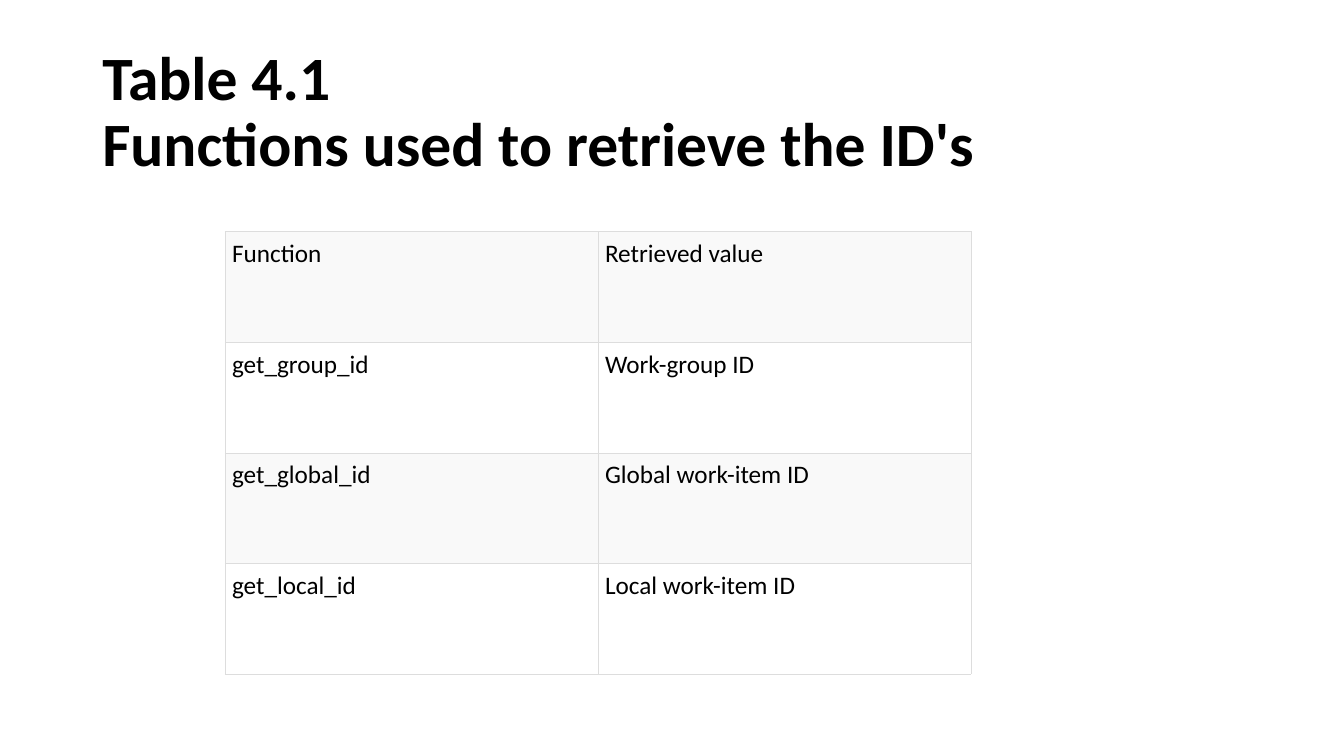
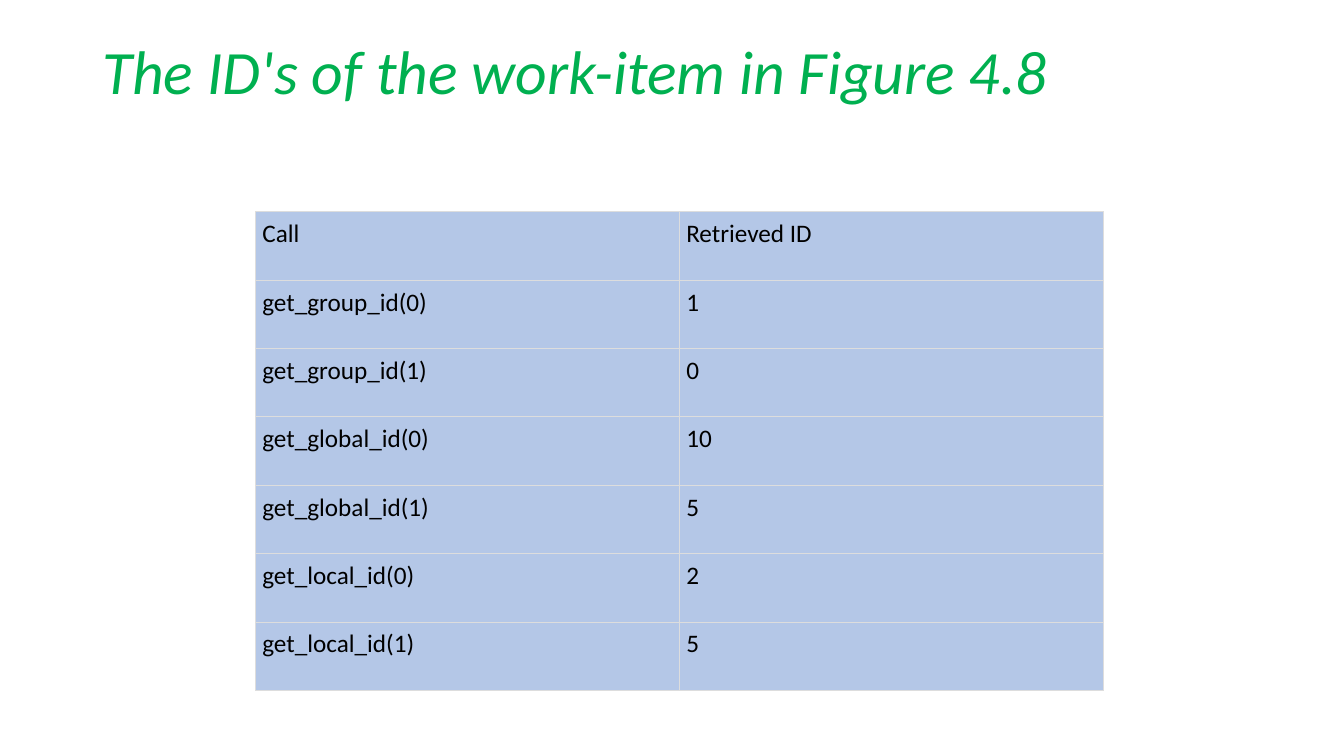
from dataclasses import dataclass

import pptx
import pptx.dml.color
import pptx.enum.text
import pptx.oxml
import pptx.oxml.ns
import pptx.slide
import pptx.table
import pptx.util

Pt = pptx.util.Pt
RGBColor = pptx.dml.color.RGBColor
Anchor = pptx.enum.text.MSO_ANCHOR

# Shared style
BLACK = RGBColor(0x00, 0x00, 0x00)
WHITE = RGBColor(0xFF, 0xFF, 0xFF)
GREEN = RGBColor(0x00, 0xB0, 0x50)
PALE_GREY = RGBColor(0xF9, 0xF9, 0xF9)
BORDER_GREY = RGBColor(0xDD, 0xDD, 0xDD)
PALE_BLUE = RGBColor(0xB4, 0xC7, 0xE7)
FONT_NAME = "Calibri"
TITLE_FONT = {"name": FONT_NAME, "size": Pt(44)}
CELL_FONT = {"name": FONT_NAME, "size": Pt(18)}
TITLE_BOX = (Pt(66), Pt(28.8), Pt(828), Pt(104.4))
CELL_MARGIN = Pt(5)
CELL_FRAME = {f"margin_{side}": CELL_MARGIN for side in ("left", "top", "right", "bottom")}
BORDER_WIDTH = Pt(0.6)


@dataclass(frozen=True)
class Title:
    text: str
    color: RGBColor
    anchor: Anchor
    top_margin: float
    bold: bool = False
    italic: bool = False


@dataclass(frozen=True)
class Grid:
    left: float
    top: float
    column_width: float
    row_height: float
    row_fills: tuple[RGBColor, ...]
    rows: tuple[tuple[str, str], ...]


SLIDES = (
    (
        Title("Table 4.1\vFunctions used to retrieve the ID's", BLACK, Anchor.MIDDLE, 3.6, bold=True),
        Grid(160.8, 165.6, 266.4, 79, (PALE_GREY, WHITE), (
            ("Function", "Retrieved value"),
            ("get_group_id", "Work-group ID"),
            ("get_global_id", "Global work-item ID"),
            ("get_local_id", "Local work-item ID"),
        )),
    ),
    (
        Title("The ID's of the work-item in Figure 4.8", GREEN, Anchor.TOP, 1, italic=True),
        Grid(182.4, 151.2, 302.8, 48.86, (PALE_BLUE,), (
            ("Call", "Retrieved ID"),
            ("get_group_id(0)", "1"),
            ("get_group_id(1)", "0"),
            ("get_global_id(0)", "10"),
            ("get_global_id(1)", "5"),
            ("get_local_id(0)", "2"),
            ("get_local_id(1)", "5"),
        )),
    ),
)


def set_attributes(target: object, values: dict) -> None:
    for name, value in values.items():
        setattr(target, name, value)


def format_runs(paragraph, values: dict, color: RGBColor) -> None:
    for run in paragraph.runs:
        set_attributes(run.font, values)
        run.font.color.rgb = color


def add_title(slide: pptx.slide.Slide, title: Title) -> None:
    frame = slide.shapes.add_textbox(*TITLE_BOX).text_frame
    set_attributes(frame, {
        "word_wrap": True,
        "vertical_anchor": title.anchor,
        "margin_top": Pt(title.top_margin),
    })
    paragraph = frame.paragraphs[0]
    paragraph.text = title.text
    paragraph.line_spacing = 0.9
    format_runs(paragraph, TITLE_FONT | {"bold": title.bold, "italic": title.italic}, title.color)


def add_borders(cell: pptx.table._Cell) -> None:
    # Border lines must come before the fill in the cell properties
    properties = cell._tc.get_or_add_tcPr()
    for position, side in enumerate(("lnL", "lnR", "lnT", "lnB")):
        properties.insert(position, pptx.oxml.parse_xml(
            f'<a:{side} {pptx.oxml.ns.nsdecls("a")} w="{BORDER_WIDTH}">'
            f'<a:solidFill><a:srgbClr val="{BORDER_GREY}"/></a:solidFill></a:{side}>'
        ))


def add_grid(slide: pptx.slide.Slide, grid: Grid) -> None:
    row_count, column_count = len(grid.rows), len(grid.rows[0])
    table = slide.shapes.add_table(
        row_count, column_count, Pt(grid.left), Pt(grid.top),
        Pt(grid.column_width * column_count), Pt(grid.row_height * row_count),
    ).table
    set_attributes(table, {"first_row": False, "horz_banding": False})
    for row_index, texts in enumerate(grid.rows):
        for column_index, text in enumerate(texts):
            cell = table.cell(row_index, column_index)
            cell.text = text
            set_attributes(cell, CELL_FRAME)
            cell.fill.solid()
            cell.fill.fore_color.rgb = grid.row_fills[row_index % len(grid.row_fills)]
            add_borders(cell)
            format_runs(cell.text_frame.paragraphs[0], CELL_FONT, BLACK)


def main() -> None:
    presentation = pptx.Presentation()
    set_attributes(presentation, {"slide_width": Pt(960), "slide_height": Pt(540)})
    blank_layout = presentation.slide_layouts[6]
    for title, grid in SLIDES:
        slide = presentation.slides.add_slide(blank_layout)
        add_title(slide, title)
        add_grid(slide, grid)
    presentation.save("out.pptx")


if __name__ == "__main__":
    main()
